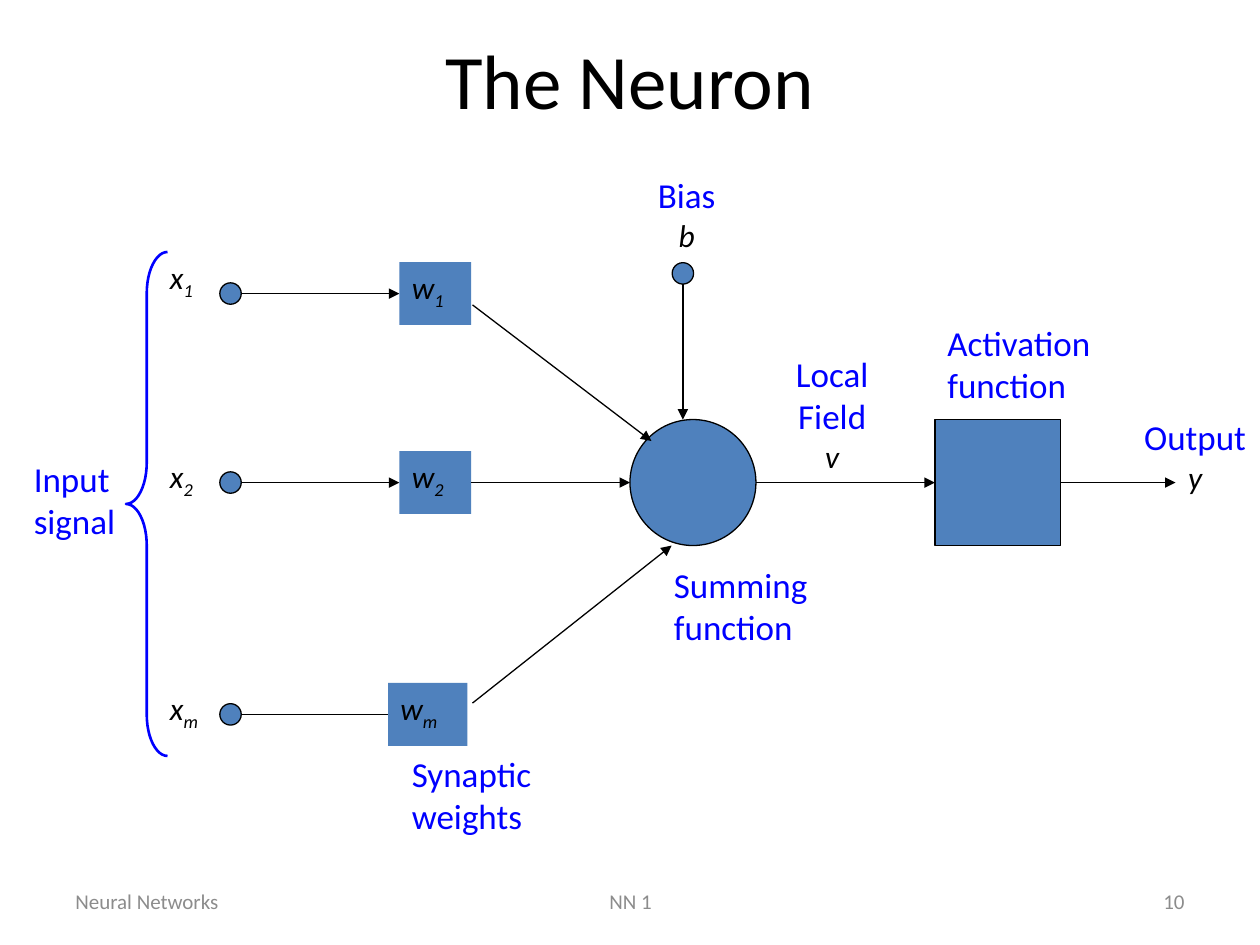
from lxml import etree
from pptx import Presentation
from pptx.dml.color import RGBColor
from pptx.enum.shapes import MSO_CONNECTOR, MSO_SHAPE
from pptx.enum.text import MSO_ANCHOR, MSO_AUTO_SIZE, PP_ALIGN
from pptx.oxml.ns import qn
from pptx.util import Inches, Pt

LEFT, CENTER, RIGHT = PP_ALIGN.LEFT, PP_ALIGN.CENTER, PP_ALIGN.RIGHT
TOP, MIDDLE = MSO_ANCHOR.TOP, MSO_ANCHOR.MIDDLE
FIXED, GROW = MSO_AUTO_SIZE.NONE, MSO_AUTO_SIZE.SHAPE_TO_FIT_TEXT
OVAL, RECT, BRACE = MSO_SHAPE.OVAL, MSO_SHAPE.RECTANGLE, MSO_SHAPE.LEFT_BRACE
STRAIGHT = MSO_CONNECTOR.STRAIGHT
LEFT_SIDE, RIGHT_SIDE = 1, 3
DOT = 0.17


def color(value):
    return RGBColor.from_string(value)


class NeuronPage:
    font = "Calibri"
    black, blue, fill = "000000", "0000FF", "4F81BD"
    formats = {
        "title": {"size": Pt(44), "color": black},
        "footer": {"size": Pt(12), "color": "8C8C8C"},
        "caption": {"size": Pt(20), "color": blue},
        "symbol": {"size": Pt(18), "color": black, "italic": True},
    }

    def __init__(self, deck):
        self.page = deck.slides.add_slide(deck.slide_layouts[6])

    def add_words(self, box, paragraphs, align=LEFT, anchor=TOP, wrap=False):
        """Each paragraph is (format name, text, optional subscript)."""
        frame = box.text_frame
        frame.word_wrap = wrap
        frame.auto_size = FIXED if wrap else GROW
        frame.vertical_anchor = anchor
        for index, (style, *texts) in enumerate(paragraphs):
            para = frame.add_paragraph() if index else frame.paragraphs[0]
            para.alignment = align
            for position, text in enumerate(texts):
                span = para.add_run()
                span.text = text
                span.font.name = self.font
                for name, value in self.formats[style].items():
                    if name == "color":
                        span.font.color.rgb = color(value)
                    else:
                        setattr(span.font, name, value)
                if position:
                    span.font._element.set("baseline", "-25000")

    def text(self, left, top, width, height, paragraphs, **layout):
        box = self.page.shapes.add_textbox(
            Inches(left), Inches(top), Inches(width), Inches(height))
        self.add_words(box, paragraphs, **layout)

    def shape(self, kind, left, top, width, height, fill=fill, line=black, weight=0.75):
        shape = self.page.shapes.add_shape(
            kind, Inches(left), Inches(top), Inches(width), Inches(height))
        shape.shadow.inherit = False
        if fill:
            shape.fill.solid()
            shape.fill.fore_color.rgb = color(fill)
        else:
            shape.fill.background()
        if line:
            shape.line.color.rgb = color(line)
            shape.line.width = Pt(weight)
        else:
            shape.line.fill.background()
        return shape

    def dot(self, x, y):
        self.shape(OVAL, x - DOT / 2, y - DOT / 2, DOT, DOT)

    def arrow(self, x1, y1, x2, y2):
        arrow = self.page.shapes.add_connector(
            STRAIGHT, Inches(x1), Inches(y1), Inches(x2), Inches(y2))
        arrow.line.color.rgb = color(self.black)
        arrow.line.width = Pt(0.75)
        outline = arrow._element.spPr.find(qn("a:ln"))
        etree.SubElement(outline, qn("a:tailEnd"), type="triangle")
        etree.SubElement(arrow._element.spPr, qn("a:effectLst"))
        return arrow


def main():
    deck = Presentation()
    deck.slide_width, deck.slide_height = Inches(10), Inches(7.5)
    page = NeuronPage(deck)

    # Title and footer
    page.text(0.75, 0, 8.5, 1.25, [("title", "The Neuron")],
              align=CENTER, anchor=MIDDLE, wrap=True)
    for left, width, words, align in [
        (0.5, 2.33, "Neural Networks", LEFT),
        (3.42, 3.17, "NN 1", CENTER),
        (7.17, 2.33, "10", RIGHT),
    ]:
        page.text(left, 6.95, width, 0.4, [("footer", words)],
                  align=align, anchor=MIDDLE, wrap=True)

    # Summing circle, activation square and input brace
    axis = 3.83
    page.shape(OVAL, 5, axis - 0.5, 1, 1)
    activation = page.shape(RECT, 7.42, axis - 0.5, 1, 1)
    brace = page.shape(BRACE, 1, 2, 0.33, 4, fill=None, line=page.blue, weight=1.5)
    brace.adjustments[0] = 1
    brace.adjustments[1] = 0.5

    # Captions
    for left, top, width, height, words in [
        (0.17, 3.58, 0.93, 0.77, "Input signal"),
        (3.17, 5.92, 1.27, 0.77, "Synaptic weights"),
        (5.25, 4.42, 1.38, 0.77, "Summing function"),
        (7.42, 2.5, 1.41, 0.77, "Activation function"),
    ]:
        page.text(left, top, width, height, [("caption", word) for word in words.split()])

    # Captions with a symbol below
    for left, top, width, height, words, symbol in [
        (5.08, 1.33, 0.74, 0.83, "Bias", "b"),
        (6.17, 2.75, 0.87, 1.17, "Local Field", "v"),
        (8.97, 3.25, 1.03, 0.83, "Output", "y"),
    ]:
        lines = [("caption", word) for word in words.split()]
        page.text(left, top, width, height, lines + [("symbol", symbol)], align=CENTER)

    # Inputs and their weights: the last box covers the end of its arrow
    weights = {}
    for index, y, label_top, label_width, left, width in [
        ("1", 2.33, 2, 0.49, 3.17, 0.57),
        ("2", axis, 3.58, 0.49, 3.17, 0.57),
        ("m", 5.67, 5.42, 0.55, 3.08, 0.63),
    ]:
        page.text(1.25, label_top, label_width, 0.5, [("symbol", "x", index)])
        page.dot(1.83, y)
        arrow = page.arrow(1.92, y, 3.17, y)
        weight = page.shape(RECT, left, y - 0.25, width, 0.5, line=None)
        page.add_words(weight, [("symbol", "w", index)])
        if left == 3.17:
            arrow.end_connect(weight, LEFT_SIDE)
        weights[index] = weight

    # Weighted inputs into the sum
    page.arrow(3.75, 2.42, 5.17, 3.5)
    page.arrow(3.75, axis, 5, axis).begin_connect(weights["2"], RIGHT_SIDE)
    page.arrow(3.75, 5.58, 5.33, 4.33)

    # Bias
    page.dot(5.42, 2.17)
    page.arrow(5.42, 2.25, 5.42, 3.33)

    # Local field and output
    page.arrow(6, axis, 7.42, axis).end_connect(activation, LEFT_SIDE)
    page.arrow(8.42, axis, 9.33, axis).begin_connect(activation, RIGHT_SIDE)

    deck.save("out.pptx")


if __name__ == "__main__":
    main()
